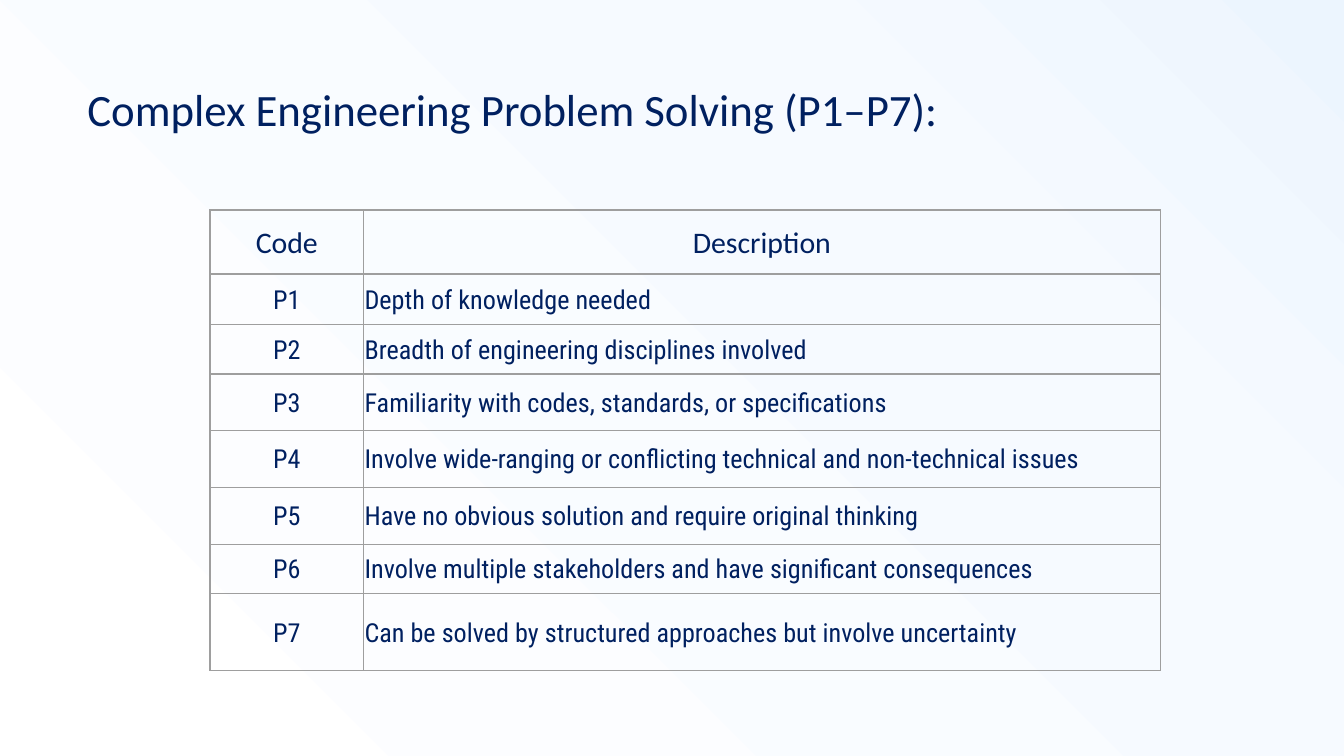
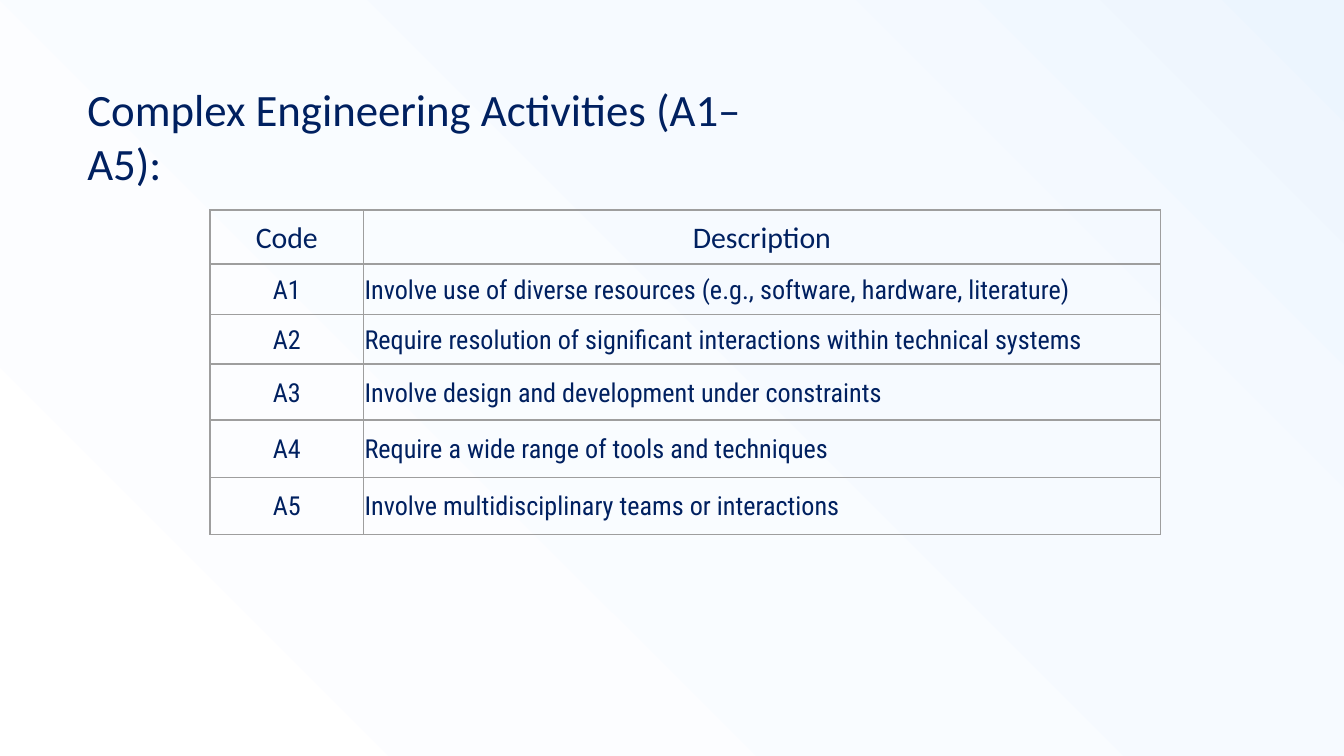
from lxml import etree
from pptx import Presentation
from pptx.dml.color import RGBColor
from pptx.enum.text import MSO_ANCHOR, MSO_AUTO_SIZE, PP_ALIGN
from pptx.oxml import parse_xml
from pptx.oxml.ns import nsdecls, qn
from pptx.util import Cm, Pt

TOP, MIDDLE = MSO_ANCHOR.TOP, MSO_ANCHOR.MIDDLE
LEFT, CENTER = PP_ALIGN.LEFT, PP_ALIGN.CENTER
NO_AUTOFIT = MSO_AUTO_SIZE.NONE

NAVY = RGBColor(0x00, 0x20, 0x60)
BORDER_GRAY = RGBColor(0x9E, 0x9E, 0x9E)
BACKDROP_STOPS = [
    (0, RGBColor(0xEC, 0xF5, 0xFE)),
    (29, RGBColor(0xF6, 0xFA, 0xFF)),
    (99, RGBColor(0xFF, 0xFF, 0xFF)),
]
HEADING_FONT, BODY_FONT = "Calibri", "Roboto Condensed"

HEADER = ("Code", "Description")
COLUMN_WIDTHS = (2.9, 15.06)
ROW_HEIGHTS = (0.96, 0.93, 1.06, 1.08, 1.08, 0.93, 1.46)

SECTIONS = [
    {
        "title": "Complex Engineering Problem Solving (P1–P7):",
        "title_size": (17.17, 1.6),
        "prefix": "P",
        "header_height": 1.21,
        "descriptions": [
            "Depth of knowledge needed",
            "Breadth of engineering disciplines involved",
            "Familiarity with codes, standards, or specifications",
            "Involve wide-ranging or conflicting technical and non-technical issues",
            "Have no obvious solution and require original thinking",
            "Involve multiple stakeholders and have significant consequences",
            "Can be solved by structured approaches but involve uncertainty",
        ],
    },
    {
        "title": "Complex Engineering Activities (A1–A5):",
        "title_size": (14.07, 1.45),
        "prefix": "A",
        "header_height": 1.02,
        "descriptions": [
            "Involve use of diverse resources (e.g., software, hardware, literature)",
            "Require resolution of significant interactions within technical systems",
            "Involve design and development under constraints",
            "Require a wide range of tools and techniques",
            "Involve multidisciplinary teams or interactions",
        ],
    },
]


def set_backdrop(master):
    """Give every slide a radial gradient that starts in the top right corner."""
    master.background.fill.solid()
    solid = master.element.find(".//" + qn("p:bgPr")).find(qn("a:solidFill"))
    stops = "".join(
        f'<a:gs pos="{percent * 1000}"><a:srgbClr val="{color}"/></a:gs>'
        for percent, color in BACKDROP_STOPS
    )
    gradient = parse_xml(
        f'<a:gradFill {nsdecls("a")} rotWithShape="1"><a:gsLst>{stops}</a:gsLst>'
        '<a:path path="circle"><a:fillToRect l="100000" b="100000"/></a:path>'
        "</a:gradFill>"
    )
    solid.getparent().replace(solid, gradient)


def style_font(font, name, size):
    font.name = name
    font.size = Pt(size)
    font.bold = False
    font.color.rgb = NAVY


def set_margins(box, margin):
    box.margin_left = box.margin_right = Cm(margin)
    box.margin_top = box.margin_bottom = Cm(margin)


def set_title(slide, text, width, height):
    title = slide.shapes.title
    title.left, title.top = Cm(1.4), Cm(1.3)
    title.width, title.height = Cm(width), Cm(height)
    frame = title.text_frame
    frame.text = text
    frame.word_wrap = True
    frame.auto_size = NO_AUTOFIT
    frame.vertical_anchor = TOP
    set_margins(frame, 0.25)
    paragraph = frame.paragraphs[0]
    paragraph.alignment = LEFT
    style_font(paragraph.runs[0].font, HEADING_FONT, 24)


def add_borders(cell):
    properties = cell._tc.get_or_add_tcPr()
    for index, side in enumerate(("lnL", "lnR", "lnT", "lnB")):
        line = etree.Element(qn(f"a:{side}"), w=str(Pt(0.75)))
        fill = etree.SubElement(line, qn("a:solidFill"))
        etree.SubElement(fill, qn("a:srgbClr"), val=str(BORDER_GRAY))
        properties.insert(index, line)


def fill_cell(cell, text, is_header, alignment):
    cell.text = text
    cell.fill.background()
    cell.vertical_anchor = MIDDLE
    set_margins(cell, 0 if is_header else 0.02)
    add_borders(cell)
    paragraph = cell.text_frame.paragraphs[0]
    paragraph.alignment = alignment
    paragraph.line_spacing = 1.07
    font_name, size = (HEADING_FONT, 16) if is_header else (BODY_FONT, 14)
    style_font(paragraph.runs[0].font, font_name, size)


def add_code_table(slide, prefix, descriptions, header_height):
    rows = [HEADER] + [
        (f"{prefix}{number}", description)
        for number, description in enumerate(descriptions, 1)
    ]
    heights = (header_height, *ROW_HEIGHTS[:len(descriptions)])
    table = slide.shapes.add_table(
        len(rows), len(HEADER), Cm(3.97), Cm(3.97),
        Cm(sum(COLUMN_WIDTHS)), Cm(sum(heights)),
    ).table
    table.horz_banding = False
    for column, width in zip(table.columns, COLUMN_WIDTHS):
        column.width = Cm(width)
    for r, (row, height) in enumerate(zip(rows, heights)):
        table.rows[r].height = Cm(height)
        for c, text in enumerate(row):
            alignment = CENTER if r == 0 or c == 0 else LEFT
            fill_cell(table.cell(r, c), text, r == 0, alignment)


def main():
    prs = Presentation()
    prs.slide_width, prs.slide_height = Cm(25.4), Cm(14.29)
    set_backdrop(prs.slide_master)
    title_only = prs.slide_layouts[5]
    for section in SECTIONS:
        slide = prs.slides.add_slide(title_only)
        set_title(slide, section["title"], *section["title_size"])
        add_code_table(slide, section["prefix"], section["descriptions"],
                       section["header_height"])
    prs.save("out.pptx")


if __name__ == "__main__":
    main()
